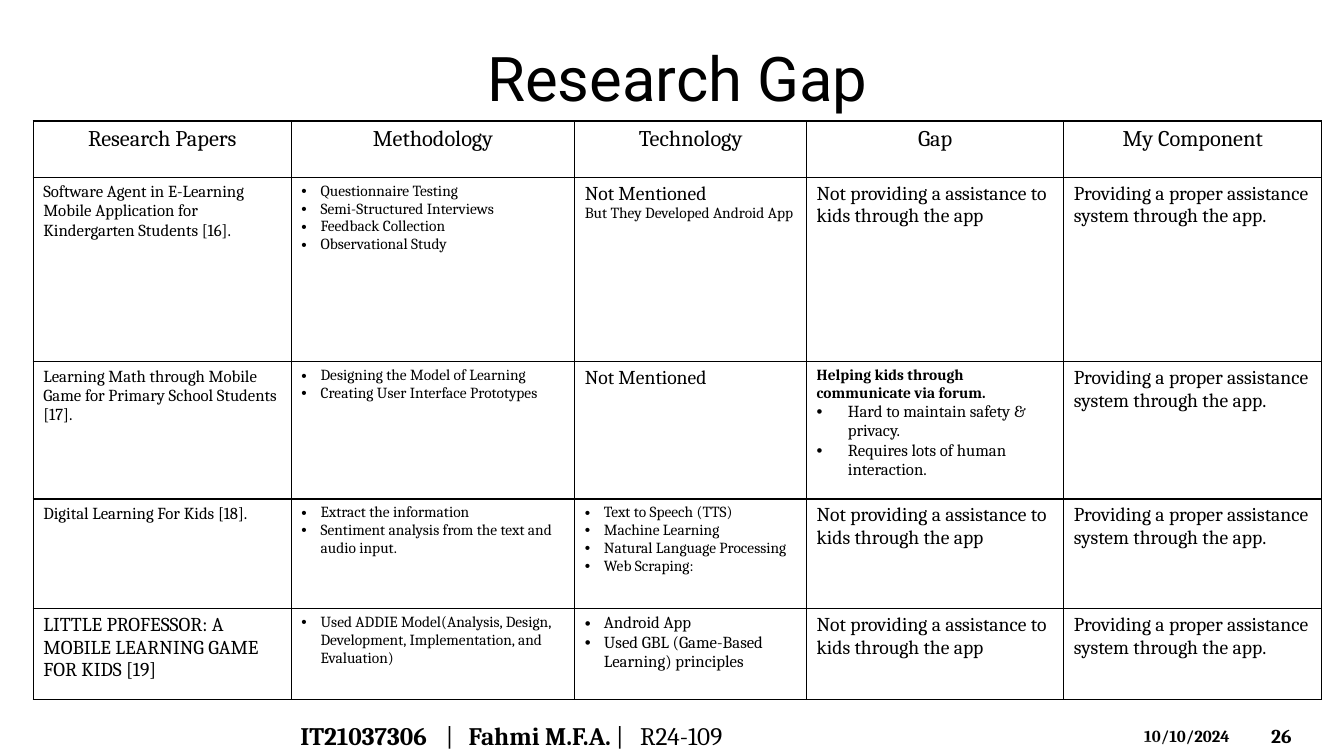
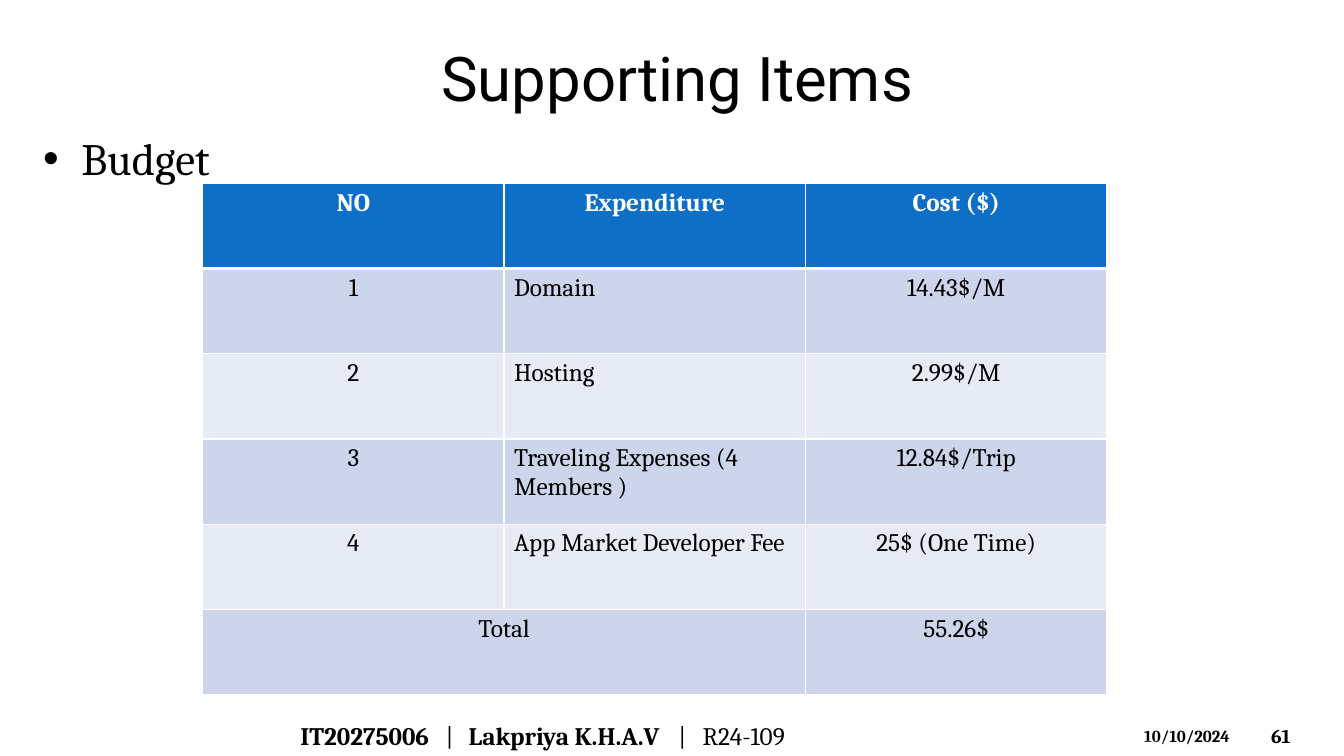
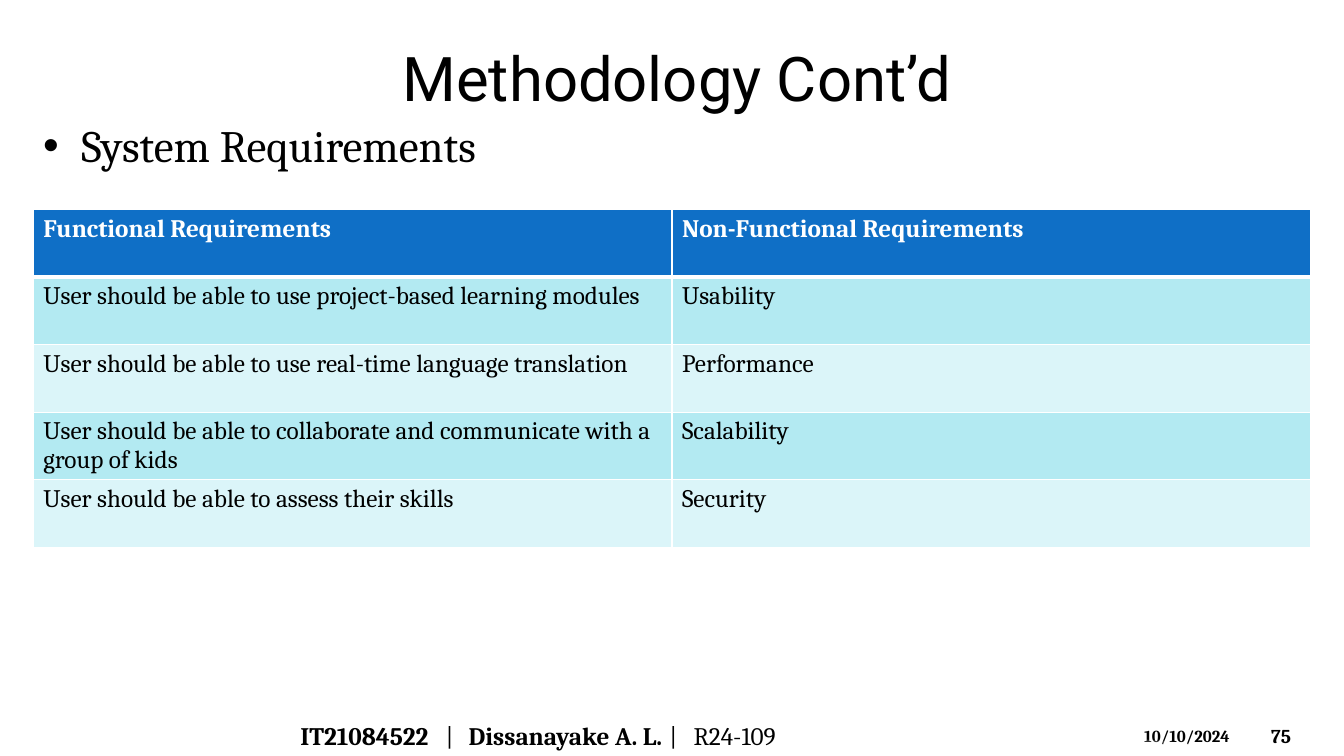
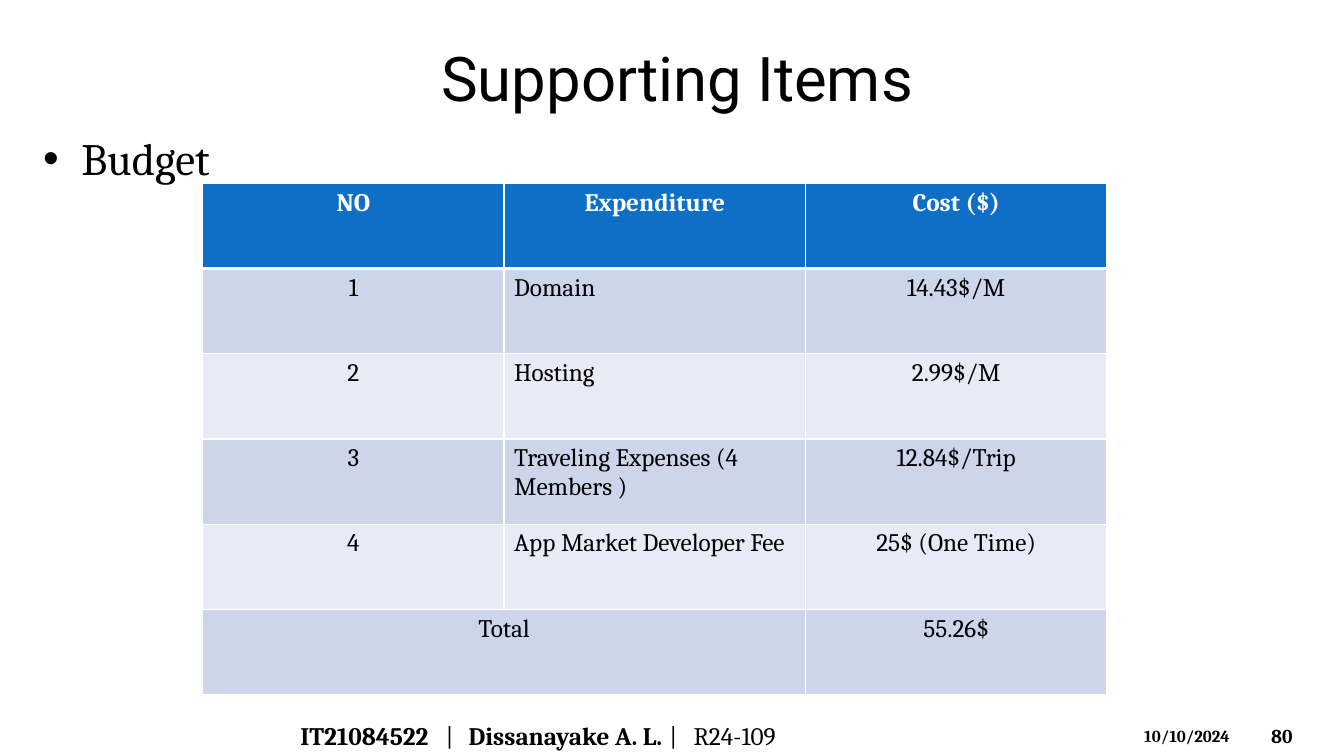
"""Builds four project presentation slides with tables and a shared footer."""
from lxml import etree
from pptx import Presentation
from pptx.dml.color import RGBColor
from pptx.enum.shapes import MSO_SHAPE
from pptx.enum.text import MSO_ANCHOR, PP_ALIGN
from pptx.oxml.ns import qn
from pptx.util import Inches, Pt

LEFT, CENTER = PP_ALIGN.LEFT, PP_ALIGN.CENTER
TOP, MIDDLE = MSO_ANCHOR.TOP, MSO_ANCHOR.MIDDLE
TRIANGLE = MSO_SHAPE.ISOSCELES_TRIANGLE
BLACK, WHITE, BLUE = "000000", "FFFFFF", "0F6FC6"
LAVENDER = ("CCD5EA", "E7EBF5")
AQUA = ("B3EAF2", "DBF5F9")
HEADING, BODY = "Roboto", "Cambria"


def rgb(value):
    return RGBColor.from_string(value)


def sub(parent, tag, **attrs):
    return etree.SubElement(parent, qn(tag), {k: str(v) for k, v in attrs.items()})


def add_text(tf, text, size=18, font=BODY, color=BLACK, bold=False,
             align=LEFT, indent=0, tabs=()):
    p = tf.paragraphs[0]
    if p.runs:
        p = tf.add_paragraph()
    p.alignment = align
    pPr = p._p.get_or_add_pPr()
    if indent:
        pPr.set("marL", str(Inches(indent)))
        pPr.set("indent", str(-Inches(indent)))
        sub(pPr, "a:buFont", typeface="Arial")
        sub(pPr, "a:buChar", char="•")
    if tabs:
        tab_list = sub(pPr, "a:tabLst")
        for pos, kind in tabs:
            sub(tab_list, "a:tab", pos=Inches(pos), algn=kind)
    runs = [(text, bold)] if isinstance(text, str) else text
    for run_text, run_bold in runs:
        r = p.add_run()
        r.text = run_text
        r.font.name = font
        r.font.size = Pt(size)
        r.font.bold = run_bold
        r.font.color.rgb = rgb(color)


def set_borders(cell, color, bottom=1):
    tcPr = cell._tc.get_or_add_tcPr()
    for i, side in enumerate("LRTB"):
        ln = sub(tcPr, f"a:ln{side}", w=Pt(bottom if side == "B" else 1))
        sub(sub(ln, "a:solidFill"), "a:srgbClr", val=color)
        tcPr.insert(i, ln)


def plain(text, size=14, **fmt):
    return [dict(text=text, size=size, **fmt)]


def bullets(*lines, size=11, indent=0.19):
    return [dict(text=line, size=size, indent=indent) for line in lines]


class Deck:
    def __init__(self):
        self.prs = Presentation()
        self.prs.slide_width, self.prs.slide_height = Inches(13.33), Inches(7.5)
        self.s = None

    def slide(self, title, number, student, name, name_end):
        self.s = self.prs.slides.add_slide(self.prs.slide_layouts[6])
        self.box(12.51, 7.1, 0.74, 0.4, str(number), size=14, bold=True)
        self.box(11.25, 7.15, 1.17, 0.3, "10/10/2024", anchor=TOP, size=12, bold=True)
        self.band(7.09, 0.41, 0.63)
        self.band(7.3, 0.2, 0.39)
        self.box(0.33, 0.33, 12.78, 0.87, title, size=44, font=HEADING, align=CENTER)
        footer = [(student, True), ("\t|\t", False), (name, True), ("\t|\tR24-109", False)]
        tabs = [(1.48, "ctr"), (1.67, "l"), (name_end, "ctr"), (name_end + 0.2, "l")]
        self.box(2.88, 7.1, 7.45, 0.4, footer, tabs=tabs)

    def band(self, y, h, peak):
        sp = self.s.shapes.add_shape(TRIANGLE, 0, Inches(y), Inches(13.33), Inches(h))
        sp.adjustments[0] = peak
        sp.shadow.inherit = False
        sp.line.fill.background()
        sp.fill.solid()
        sp.fill.fore_color.rgb = rgb(WHITE)
        color = sp._element.spPr.find(qn("a:solidFill")).find(qn("a:srgbClr"))
        sub(color, "a:alpha", val=20000)

    def box(self, x, y, w, h, text, anchor=MIDDLE, **fmt):
        sp = self.s.shapes.add_textbox(Inches(x), Inches(y), Inches(w), Inches(h))
        tf = sp.text_frame
        tf.word_wrap = True
        tf.vertical_anchor = anchor
        add_text(tf, text, **fmt)

    def topic(self, y, text):
        self.box(0.33, y, 12.78, 0.7, text, anchor=TOP, size=32, indent=0.38)

    def table(self, x, y, widths, heights):
        frame = self.s.shapes.add_table(len(heights), len(widths), Inches(x), Inches(y),
                                        Inches(sum(widths)), Inches(sum(heights)))
        tbl = frame.table
        tbl.horz_banding = False
        for col, w in zip(tbl.columns, widths):
            col.width = Inches(w)
        for row, h in zip(tbl.rows, heights):
            row.height = Inches(h)
        return tbl

    def grid_table(self, x, y, widths, heights, rows):
        tbl = self.table(x, y, widths, heights)
        for i, row in enumerate(rows):
            for j, paragraphs in enumerate(row):
                cell = tbl.cell(i, j)
                cell.fill.background()
                set_borders(cell, BLACK)
                for fmt in paragraphs:
                    add_text(cell.text_frame, **fmt)

    def banded_table(self, x, y, width, height, rows, bands, aligns, head_align):
        cols = len(aligns)
        tbl = self.table(x, y, [width / cols] * cols, [height / len(rows)] * len(rows))
        for i, row in enumerate(rows):
            head = i == 0
            for j, text in enumerate(row):
                cell = tbl.cell(i, j)
                cell.margin_bottom = Inches(0.02)
                cell.fill.solid()
                cell.fill.fore_color.rgb = rgb(BLUE if head else bands[(i - 1) % 2])
                set_borders(cell, WHITE, bottom=3 if head else 1)
                if text:
                    add_text(cell.text_frame, text, color=WHITE if head else BLACK,
                             bold=head, align=head_align if head else aligns[j])
        return tbl

    def budget(self, number, student, name, name_end):
        self.slide("Supporting Items", number, student, name, name_end)
        self.topic(1.25, "Budget")
        tbl = self.banded_table(2.01, 1.82, 8.97, 5.07, BUDGET, LAVENDER,
                                [CENTER, LEFT, CENTER], CENTER)
        last = len(BUDGET) - 1
        tbl.cell(last, 0).merge(tbl.cell(last, 1))


BUDGET = [
    ("NO", "Expenditure", "Cost ($)"),
    ("1", "Domain", "14.43$/M"),
    ("2", "Hosting", "2.99$/M"),
    ("3", "Traveling Expenses (4 Members )", "12.84$/Trip"),
    ("4", "App Market Developer Fee", "25$ (One Time)"),
    ("Total", "", "55.26$"),
]

REQUIREMENTS = [
    ("Functional Requirements", "Non-Functional Requirements"),
    ("User should be able to use project-based learning modules", "Usability"),
    ("User should be able to use real-time language translation", "Performance"),
    ("User should be able to collaborate and communicate with a group of kids",
     "Scalability"),
    ("User should be able to assess their skills", "Security"),
]

NO_ASSISTANCE = plain("Not providing a assistance to kids through the app")
OUR_SYSTEM = plain("Providing a proper assistance system through the app.")
NOT_MENTIONED = plain("Not Mentioned")
HEADERS = ("Research Papers", "Methodology", "Technology", "Gap", "My Component")

PAPERS = [
    [plain(header, 16, align=CENTER) for header in HEADERS],
    [plain("Software Agent in E-Learning Mobile Application for "
           "Kindergarten Students [16].", 12),
     bullets("Questionnaire Testing", "Semi-Structured Interviews",
             "Feedback Collection", "Observational Study"),
     NOT_MENTIONED + plain("But They Developed Android App", 11),
     NO_ASSISTANCE, OUR_SYSTEM],
    [plain("Learning Math through Mobile Game for Primary School Students [17].", 12),
     bullets("Designing the Model of Learning", "Creating User Interface Prototypes"),
     NOT_MENTIONED,
     plain("Helping kids through communicate via forum.", 11, bold=True)
     + bullets("Hard to maintain safety & privacy.",
               "Requires lots of human interaction.", size=12, indent=0.31),
     OUR_SYSTEM],
    [plain("Digital Learning For Kids [18].", 12),
     bullets("Extract the information",
             "Sentiment analysis from the text and audio input."),
     bullets("Text to Speech (TTS)", "Machine Learning",
             "Natural Language Processing", "Web Scraping:"),
     NO_ASSISTANCE, OUR_SYSTEM],
    [plain("LITTLE PROFESSOR: A MOBILE LEARNING GAME FOR KIDS [19]"),
     bullets("Used ADDIE Model(Analysis, Design, Development, Implementation, "
             "and Evaluation)"),
     bullets("Android App", "Used GBL (Game-Based Learning) principles", size=12),
     NO_ASSISTANCE, OUR_SYSTEM],
]


def main():
    deck = Deck()
    dissanayake = ("IT21084522", "Dissanayake A. L.", 3.7)

    deck.slide("Research Gap", 26, "IT21037306", "Fahmi M.F.A.", 3.17)
    deck.grid_table(0.33, 1.2, [2.56, 2.81, 2.3, 2.55, 2.56],
                    [0.56, 1.83, 1.36, 1.09, 0.9], PAPERS)

    deck.budget(61, "IT20275006", "Lakpriya K.H.A.V", 3.79)

    deck.slide("Methodology Cont’d", 75, *dissanayake)
    deck.topic(1.12, "System Requirements")
    deck.banded_table(0.33, 2.08, 12.67, 3.35, REQUIREMENTS, AQUA,
                      [LEFT, LEFT], LEFT)

    deck.budget(80, *dissanayake)
    deck.prs.save("out.pptx")


if __name__ == "__main__":
    main()
